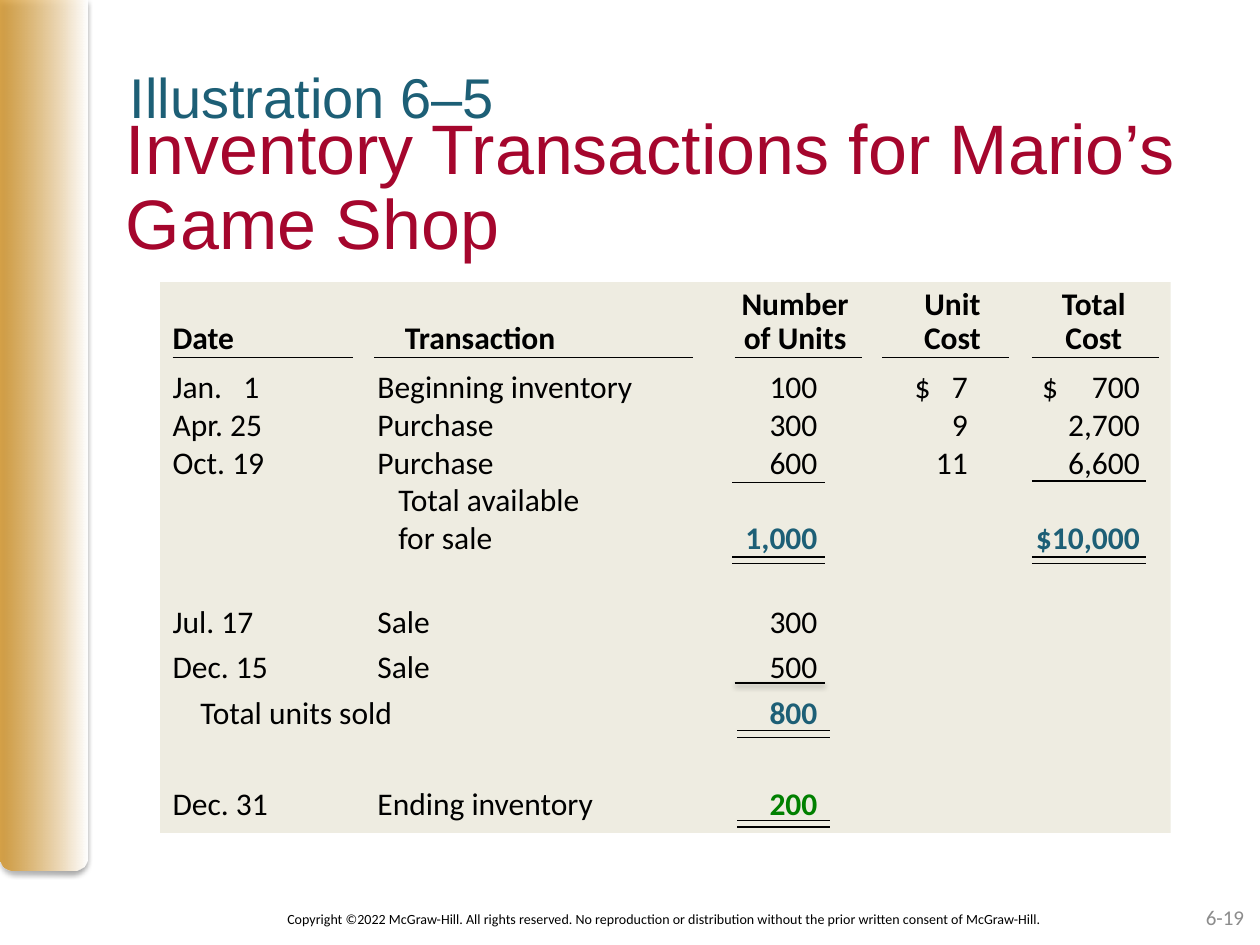
from lxml.etree import SubElement
from pptx import Presentation
from pptx.dml.color import RGBColor
from pptx.enum.shapes import MSO_CONNECTOR as Connector, MSO_SHAPE as Shape
from pptx.enum.text import MSO_ANCHOR as Anchor, PP_ALIGN as Align
from pptx.oxml.ns import qn
from pptx.util import Cm, Pt

COLORS = {
    "gold": "D49323", "white": "FFFFFF", "black": "000000", "grey": "8C8C8C",
    "red": "A5062D", "teal": "1D5F76", "green": "008000", "panel": "EEECE1",
}

# Tab stops in cm from the left edge of the panel text
STOPS = {
    "indent": (0.56, "l"), "day": (1.75, "r"), "transaction": (4.13, "l"),
    "subtotal": (4.55, "l"), "units": (13.0, "r"), "unit $": (14.96, "l"),
    "unit cost": (16.03, "r"), "total $": (17.53, "l"), "total cost": (19.5, "r"),
    "transaction head": (6.2, "ctr"), "units head": (12.55, "ctr"),
    "unit head": (15.72, "ctr"), "total head": (18.57, "ctr"),
}

HEADER = dict(bold=True, line_spacing=0.9)
SALES = dict(line_spacing=1.2)
TEAL = dict(color="teal", bold=True)
GREEN = dict(color="green", bold=True)

# Each row: paragraph format, then cells of (column, text, run format)
ROWS = [
    (HEADER, [("units head", "Number"), ("unit head", "Unit"), ("total head", "Total")]),
    (dict(HEADER, space_after=6),
     [("date", "Date"), ("transaction head", "Transaction"), ("units head", "of Units"),
      ("unit head", "Cost"), ("total head", "Cost")]),
    ({}, [("date", "Jan."), ("day", "1"), ("transaction", "Beginning inventory"),
          ("units", "100"), ("unit $", "$"), ("unit cost", "7"),
          ("total $", "$"), ("total cost", "700")]),
    ({}, [("date", "Apr. 25"), ("transaction", "Purchase"), ("units", "300"),
          ("unit cost", "9"), ("total cost", "2,700")]),
    ({}, [("date", "Oct. 19"), ("transaction", "Purchase"), ("units", "600"),
          ("unit cost", "11"), ("total cost", "6,600")]),
    ({}, [("subtotal", "Total available")]),
    ({}, [("subtotal", "for sale"), ("units", "1,000", TEAL), ("total cost", "$10,000", TEAL)]),
    (dict(SALES, space_before=22),
     [("date", "Jul. 17"), ("transaction", "Sale"), ("units", "300")]),
    (SALES, [("date", "Dec. 15"), ("transaction", "Sale"), ("units", "500")]),
    (SALES, [("indent", "Total units sold"), ("units", "800", TEAL)]),
    (dict(SALES, space_before=26.4),
     [("date", "Dec. 31"), ("transaction", "Ending inventory"), ("units", "200", GREEN)]),
]

HEADER_RULES = [(3.48, 7.11), (7.54, 13.97), (14.81, 17.37), (17.78, 20.35), (20.8, 23.37)]
SINGLE_RULES = [(14.76, 16.64, 9.73), (20.8, 23.11, 9.7)]
DOUBLE_RULES = [(14.76, 16.64, 11.23), (20.8, 23.11, 11.23),
                (14.86, 16.74, 14.73), (14.86, 16.74, 16.54)]
DOUBLE_GAP = 0.13


def rgb(name):
    return RGBColor.from_string(COLORS[name])


def add_alpha(color, percent):
    SubElement(color, qn("a:alpha"), val=str(percent * 1000))


def add_effects(shape, shadow=None):
    """Give the shape an effect list: empty, or a soft shadow of this opacity."""
    effects = SubElement(shape._element.spPr, qn("a:effectLst"))
    if shadow:
        outer = SubElement(effects, qn("a:outerShdw"), blurRad=str(Pt(3.1)),
                           dist=str(Pt(1.8)), dir="5400000", rotWithShape="0")
        add_alpha(SubElement(outer, qn("a:srgbClr"), val=COLORS["black"]), shadow)


def add_span(para, text, size=18, color="black", font="Calibri", bold=False):
    span = para.add_run()
    span.text = text
    span.font.size, span.font.name, span.font.bold = Pt(size), font, bold
    span.font.color.rgb = rgb(color)


def add_text(page, text, left, top, width, height, align=Align.LEFT,
             anchor=Anchor.TOP, margin=0, line_spacing=1.0, **style):
    box = page.shapes.add_textbox(Cm(left), Cm(top), Cm(width), Cm(height))
    frame = box.text_frame
    frame.word_wrap = True
    frame.vertical_anchor = anchor
    frame.margin_left = frame.margin_right = Cm(margin)
    frame.margin_top = frame.margin_bottom = Cm(margin / 2)
    para = frame.paragraphs[0]
    para.alignment, para.line_spacing = align, line_spacing
    add_span(para, text, **style)


def add_rule(page, start, end, y, width=0.75, shadow=None):
    rule = page.shapes.add_connector(Connector.STRAIGHT, Cm(start), Cm(y), Cm(end), Cm(y))
    rule.line.color.rgb = rgb("black")
    rule.line.width = Pt(width)
    add_effects(rule, shadow)


def add_side_band(page):
    band = page.shapes.add_shape(Shape.ROUND_2_SAME_RECTANGLE, 0, 0, Cm(1.76), Cm(17.55))
    band._element.spPr.xfrm.set("flipV", "1")
    band.fill.gradient()
    band.fill.gradient_angle = 0
    for stop, color in zip(band.fill.gradient_stops, ("gold", "white")):
        stop.color.rgb = rgb(color)
    add_alpha(band._element.spPr.find(".//" + qn("a:srgbClr")), 80)
    band.line.fill.background()
    add_effects(band, shadow=35)


def fill_row(para, cells, line_spacing=1.0, space_before=0, space_after=0, bold=False):
    """Write the cells into one paragraph, with a tab stop for each column used."""
    para.alignment, para.line_spacing = Align.LEFT, line_spacing
    para.space_before, para.space_after = Pt(space_before), Pt(space_after)
    tabs = SubElement(para._p.get_or_add_pPr(), qn("a:tabLst"))
    for column, text, *style in cells:
        if column in STOPS:
            position, kind = STOPS[column]
            SubElement(tabs, qn("a:tab"), pos=str(Cm(position)), algn=kind)
            text = "\t" + text
        add_span(para, text, **(style[0] if style else {"bold": bold}))


def add_transactions(page):
    panel = page.shapes.add_shape(Shape.RECTANGLE, Cm(3.23), Cm(5.69), Cm(20.37), Cm(11.1))
    panel.shadow.inherit = False
    panel.fill.solid()
    panel.fill.fore_color.rgb = rgb("panel")
    panel.line.fill.background()
    frame = panel.text_frame
    frame.word_wrap = True
    frame.vertical_anchor = Anchor.TOP
    for index, (layout, cells) in enumerate(ROWS):
        para = frame.add_paragraph() if index else frame.paragraphs[0]
        fill_row(para, cells, **layout)


def add_rules(page):
    for start, end in HEADER_RULES:
        add_rule(page, start, end, 7.21)
    for start, end, y in SINGLE_RULES:
        add_rule(page, start, end, y)
    for start, end, y in DOUBLE_RULES:
        add_rule(page, start, end, y)
        add_rule(page, start, end, y + DOUBLE_GAP)
    add_rule(page, 14.81, 16.64, 13.77, width=1, shadow=38)


def main():
    deck = Presentation()
    deck.slide_width, deck.slide_height = Cm(25.4), Cm(19.05)
    page = deck.slides.add_slide(deck.slide_layouts[6])
    add_side_band(page)
    add_text(page, "Copyright ©2022 McGraw-Hill. All rights reserved. No reproduction or "
             "distribution without the prior written consent of McGraw-Hill.",
             3.71, 18.24, 19.38, 0.6, align=Align.CENTER, margin=0.25, size=8)
    add_text(page, "6-19", 19.41, 17.98, 5.92, 1.02, align=Align.RIGHT,
             anchor=Anchor.MIDDLE, margin=0.25, size=12, color="grey")
    add_text(page, "Inventory Transactions for Mario’s Game Shop", 2.54, 2.29, 22.86, 3.18,
             line_spacing=0.9, size=40, font="Arial", color="red")
    add_text(page, "Illustration 6–5", 2.62, 1.27, 14.63, 1.17,
             size=32, font="Arial", color="teal")
    add_transactions(page)
    add_rules(page)
    deck.save("out.pptx")


if __name__ == "__main__":
    main()
